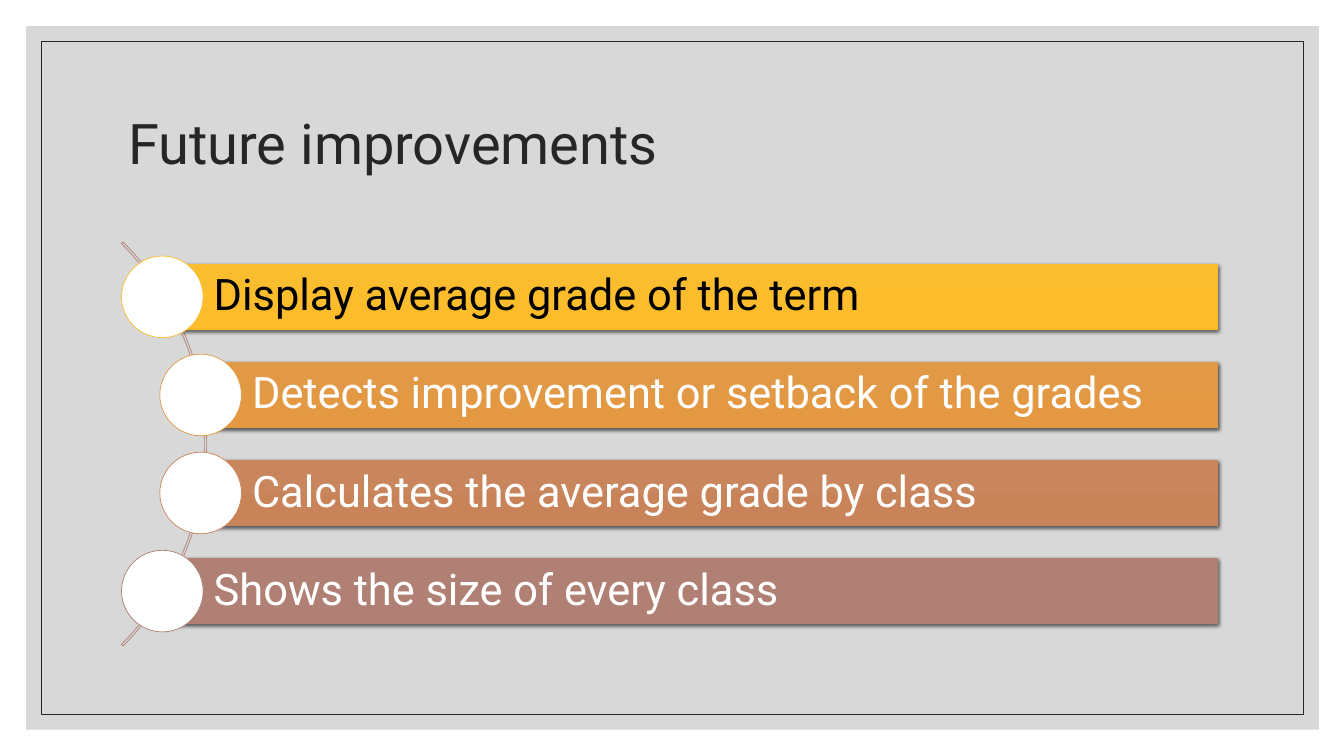
from pptx import Presentation
from pptx.dml.color import RGBColor
from pptx.enum import shapes as es, text as et
from pptx.oxml import parse_xml
from pptx.oxml.ns import nsdecls, qn
from pptx.util import Inches, Pt


def put(frame, words, size, color, left, side=0.1):
    frame.word_wrap = True
    frame.auto_size = et.MSO_AUTO_SIZE.NONE
    frame.vertical_anchor = et.MSO_ANCHOR.MIDDLE
    frame.margin_left = Inches(left)
    frame.margin_right = Inches(side)
    frame.margin_top = frame.margin_bottom = Inches(0.05)
    line = frame.paragraphs[0]
    line.text = words
    line.alignment = et.PP_ALIGN.LEFT
    line.line_spacing = 0.9
    font = line.runs[0].font
    font.name, font.size = "Roboto", Pt(size)
    font.color.rgb = RGBColor.from_string(color)


def draw(kind, box, fill=None, edge=None):
    shape = slide.shapes.add_shape(kind, *map(Inches, box))
    shape.shadow.inherit = False
    if fill:
        shape.fill.solid()
        shape.fill.fore_color.rgb = RGBColor.from_string(fill)
    else:
        shape.fill.background()
    if edge:
        shape.line.color.rgb = RGBColor.from_string(edge)
        shape.line.width = Pt(0.5)
    else:
        shape.line.fill.background()
    return shape


KIND = es.MSO_SHAPE
deck = Presentation()
deck.slide_width, deck.slide_height = Inches(13.33), Inches(7.5)
slide = deck.slides.add_slide(deck.slide_layouts[5])

# Frame, placed behind the title
title = slide.shapes.title
panel = draw(KIND.RECTANGLE, (0.26, 0.26, 12.82, 6.98), "BFBFBF")
tint = panel.fill._xPr.find(qn("a:solidFill"))[0]
tint.append(parse_xml(f'<a:alpha {nsdecls("a")} val="60000"/>'))
border = draw(KIND.RECTANGLE, (0.41, 0.41, 12.52, 6.68), edge="262626")
for back in (panel, border):
    title._element.addprevious(back._element)

title.left, title.top = Inches(1.17), Inches(0.7)
title.width, title.height = Inches(11), Inches(1.5)
put(title.text_frame, "Future improvements", 40, "262626", 0.1)

# Curve that links the dots
curve = draw(KIND.BLOCK_ARC, (-3.62, 1.57, 5.67, 5.67), edge="AF8073")
for i, value in enumerate((189, 27, 0.004)):
    curve.adjustments[i] = value

SHADE = (f'<a:effectLst {nsdecls("a")}><a:outerShdw blurRad="38100" '
         'dist="12700" dir="5400000" algn="ctr" rotWithShape="0">'
         '<a:srgbClr val="000000"><a:alpha val="63000"/></a:srgbClr>'
         '</a:outerShdw></a:effectLst>')
RIGHT, DOT, HIGH, STEP = 12.08, 0.81, 0.65, 0.973
items = [
    ("Display average grade of the term", 1.61, "FABD2F", "FDBD2A", "010000"),
    ("Detects improvement or setback of the grades", 1.99, "E29945", "E39841", "FFFFFF"),
    ("Calculates the average grade by class", 1.99, "C9855C", "C98358", "FFFFFF"),
    ("Shows the size of every class", 1.61, "AF8073", "AF7E71", "FFFFFF"),
]
for row, (words, left, first, last, ink) in enumerate(items):
    top = 2.62 + row * STEP
    bar = draw(KIND.RECTANGLE, (left, top, RIGHT - left, HIGH), first)
    bar.fill.gradient()
    bar.fill.gradient_angle = 270
    for stop, color in zip(bar.fill.gradient_stops, (first, last)):
        stop.color.rgb = RGBColor.from_string(color)
    props = bar._element.spPr
    props.replace(props.find(qn("a:effectLst")), parse_xml(SHADE))
    put(bar.text_frame, words, 31, ink, 0.51, 0.09)
    draw(KIND.OVAL, (left - DOT / 2, top + (HIGH - DOT) / 2, DOT, DOT), "FFFFFF", first)

deck.save("out.pptx")
